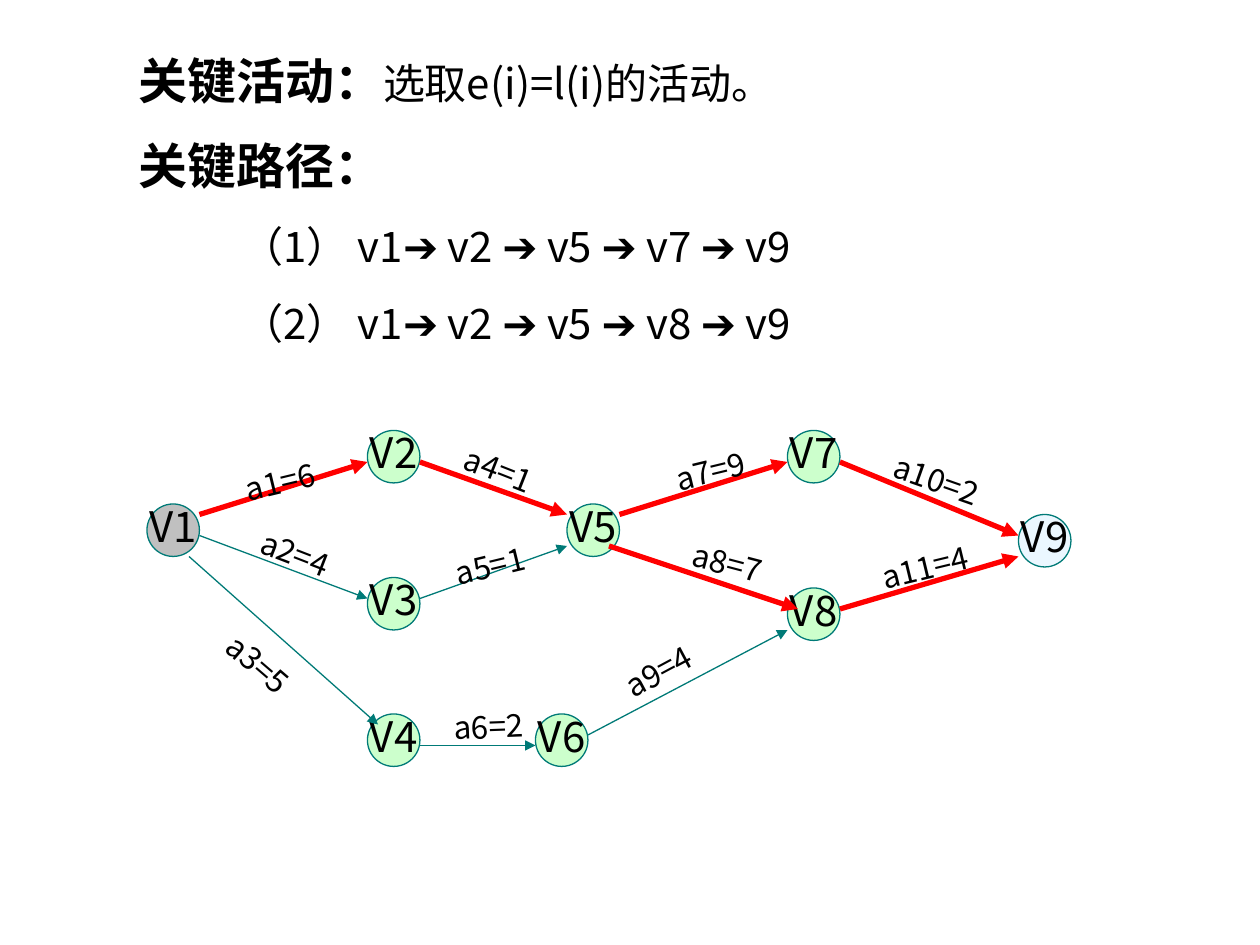
from dataclasses import dataclass

from lxml import etree
from pptx import Presentation
from pptx.dml.color import RGBColor
from pptx.enum.shapes import MSO_CONNECTOR, MSO_SHAPE
from pptx.enum.text import MSO_ANCHOR, MSO_AUTO_SIZE, PP_ALIGN
from pptx.oxml.ns import qn
from pptx.util import Pt

ELLIPSE = MSO_SHAPE.OVAL
RECTANGLE = MSO_SHAPE.RECTANGLE
STRAIGHT = MSO_CONNECTOR.STRAIGHT
TOP = MSO_ANCHOR.TOP
MIDDLE = MSO_ANCHOR.MIDDLE
LEFT = PP_ALIGN.LEFT
CENTER = PP_ALIGN.CENTER
FIT_SHAPE = MSO_AUTO_SIZE.SHAPE_TO_FIT_TEXT

EMU_PER_PX = 7620
NODE_SIZE = 50
LABEL_HEIGHT = 32
PATH_INDENT = 98


@dataclass(frozen=True)
class Theme:
    """Colours, fonts and type sizes of the slide."""

    font: str = "Noto Sans CJK SC"
    arrow_font: str = "Arial"
    ink: str = "000000"
    teal: str = "007A77"
    critical: str = "FF0000"
    start: str = "C0C0C0"
    event: str = "CCFFCC"
    finish: str = "EBF7FF"
    heading: int = 28
    body: int = 24
    label: int = 18
    thin: float = 0.75
    thick: float = 3


THEME = Theme()

EVENTS = {
    "V1": (140, 480, THEME.start),
    "V2": (350, 410, THEME.event),
    "V3": (350, 550, THEME.event),
    "V4": (350, 680, THEME.event),
    "V5": (540, 480, THEME.event),
    "V6": (510, 680, THEME.event),
    "V7": (750, 410, THEME.event),
    "V8": (750, 560, THEME.event),
    "V9": (970, 490, THEME.finish),
}

ACTIVITIES = {
    "a1=6": ((190, 490), (350, 440), True, (220, 438, 60, 346.4)),
    "a2=4": ((190, 510), (350, 570), False, (240, 498, 60, 21.2)),
    "a3=5": ((180, 530), (360, 690), False, (210, 600, 60, 40.7)),
    "a4=1": ((400, 440), (540, 490), True, (434, 418, 60, 21.6)),
    "a5=1": ((400, 570), (540, 520), False, (420, 518, 60, 346.4)),
    "a6=2": ((400, 710), (510, 710), False, (420, 668, 60, 357.8)),
    "a7=9": ((590, 490), (750, 440), True, (630, 428, 60, 346.4)),
    "a8=7": ((580, 520), (760, 580), True, (650, 508, 60, 14.7)),
    "a9=4": ((560, 700), (750, 600), False, (580, 623, 60, 331.8)),
    "a10=2": ((800, 440), (970, 510), True, (842, 428, 76, 19.4)),
    "a11=4": ((800, 580), (970, 530), True, (826, 520, 74, 346.4)),
}

CRITICAL_PATHS = (
    ("（1） v1", " v2 ", " v5 ", " v7 ", " v9"),
    ("（2） v1", " v2 ", " v5 ", " v8 ", " v9"),
)


def px(*lengths):
    """Turn px lengths into EMU."""
    return [length * EMU_PER_PX for length in lengths]


def set_typeface(properties, font, name):
    """Name the Latin and East Asian typeface."""
    font.name = name
    east_asian = etree.Element(qn("a:ea"), typeface=name)
    properties.find(qn("a:latin")).addnext(east_asian)


def style_paragraph(paragraph, size):
    """Give a paragraph the common font and ink."""
    font = paragraph.font
    font.size = Pt(size)
    font.color.rgb = RGBColor.from_string(THEME.ink)
    set_typeface(paragraph._p.pPr.find(qn("a:defRPr")), font, THEME.font)


def add_run(paragraph, text):
    """Append a run of text."""
    run = paragraph.add_run()
    run.text = text
    return run


def add_heading(paragraph, title, detail=""):
    """Write a bold title with an optional plain detail."""
    style_paragraph(paragraph, THEME.body)
    title_font = add_run(paragraph, title).font
    title_font.bold = True
    title_font.size = Pt(THEME.heading)
    if detail:
        add_run(paragraph, detail)


def add_critical_path(paragraph, steps):
    """Write the events of a path joined by arrows."""
    paragraph._p.get_or_add_pPr().set("marL", str(PATH_INDENT * EMU_PER_PX))
    style_paragraph(paragraph, THEME.body)
    for position, step in enumerate(steps):
        if position:
            arrow = add_run(paragraph, "➔")
            set_typeface(arrow._r.get_or_add_rPr(), arrow.font, THEME.arrow_font)
        add_run(paragraph, step)


def add_summary(slide):
    """Add the definition and the list of critical paths."""
    frame = slide.shapes.add_textbox(*px(120, 42, 900, 295)).text_frame
    frame.word_wrap = True
    frame.auto_size = FIT_SHAPE
    add_heading(frame.paragraphs[0], "关键活动：", "选取e(i)=l(i)的活动。")
    add_heading(frame.add_paragraph(), "关键路径：")
    for steps in CRITICAL_PATHS:
        add_critical_path(frame.add_paragraph(), steps)
    for paragraph in frame.paragraphs[1:]:
        paragraph.space_before = Pt(15)


def write_caption(shape, text, size, anchor, alignment):
    """Write one unwrapped line in a shape and return its paragraph."""
    shape.shadow.inherit = False
    frame = shape.text_frame
    frame.word_wrap = False
    frame.vertical_anchor = anchor
    paragraph = frame.paragraphs[0]
    paragraph.alignment = alignment
    style_paragraph(paragraph, size)
    add_run(paragraph, text)
    return paragraph


def add_event(slide, name, left, top, colour):
    """Add a round event node."""
    node = slide.shapes.add_shape(ELLIPSE, *px(left, top, NODE_SIZE, NODE_SIZE))
    node.fill.solid()
    node.fill.fore_color.rgb = RGBColor.from_string(colour)
    node.line.color.rgb = RGBColor.from_string(THEME.teal)
    node.line.width = Pt(THEME.thin)
    caption = write_caption(node, name, THEME.body, MIDDLE, CENTER)
    caption.line_spacing = 0.8


def add_activity(slide, start, end, critical):
    """Add an activity arrow, heavy and red if critical."""
    arrow = slide.shapes.add_connector(STRAIGHT, *px(*start, *end))
    colour = THEME.critical if critical else THEME.teal
    arrow.line.color.rgb = RGBColor.from_string(colour)
    arrow.line.width = Pt(THEME.thick if critical else THEME.thin)
    etree.SubElement(arrow.line._get_or_add_ln(), qn("a:tailEnd"), type="triangle")
    etree.SubElement(arrow._element.spPr, qn("a:effectLst"))


def add_duration(slide, text, left, top, width, rotation):
    """Add a turned activity label."""
    label = slide.shapes.add_shape(RECTANGLE, *px(left, top, width, LABEL_HEIGHT))
    label.rotation = rotation
    label.fill.background()
    label.line.fill.background()
    write_caption(label, text, THEME.label, TOP, LEFT)


def main():
    """Build the critical path slide."""
    deck = Presentation()
    deck.slide_width, deck.slide_height = px(1200, 900)
    slide = deck.slides.add_slide(deck.slide_layouts[6])
    for name, event in EVENTS.items():
        add_event(slide, name, *event)
    for start, end, critical, _ in ACTIVITIES.values():
        add_activity(slide, start, end, critical)
    for text, (*_, placement) in ACTIVITIES.items():
        add_duration(slide, text, *placement)
    add_summary(slide)
    deck.save("out.pptx")


if __name__ == "__main__":
    main()
